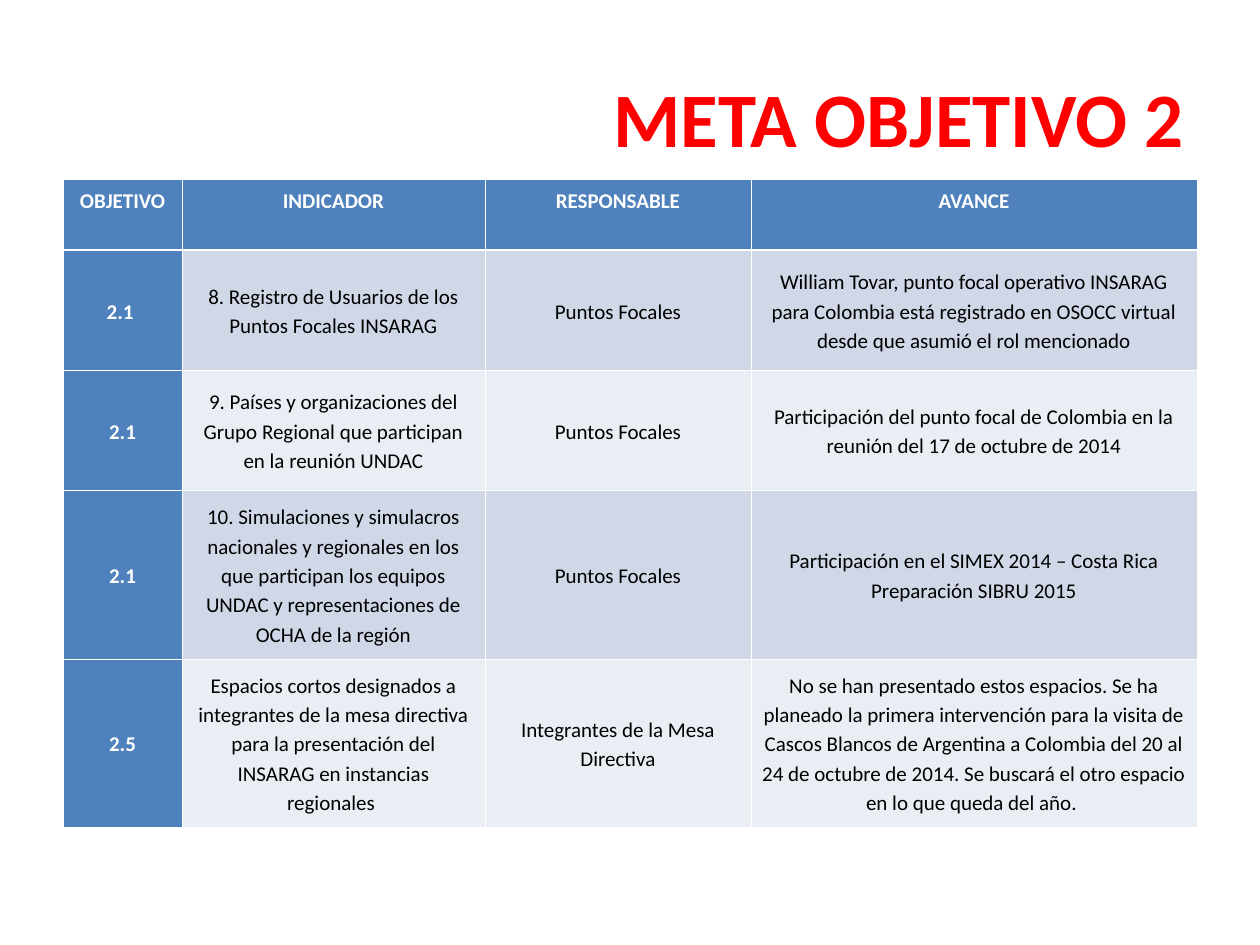
from typing import NamedTuple

from lxml import etree
from pptx import Presentation
from pptx import util as u
from pptx.dml.color import RGBColor
from pptx.enum import text as t
from pptx.oxml.ns import qn

FONT = "Calibri"
WHITE = RGBColor(0xFF, 0xFF, 0xFF)
BLACK = RGBColor(0, 0, 0)
RED = RGBColor(0xFF, 0, 0)
BLUE = RGBColor(0x4F, 0x81, 0xBD)
BANDS = (RGBColor(0xD0, 0xD8, 0xE8), RGBColor(0xE9, 0xED, 0xF4))
THIN, THICK = 0.45, 1.47


class Goal(NamedTuple):
    code: str
    metric: str
    owner: str
    status: str
    high: int


HEAD = Goal("OBJETIVO", "INDICADOR", "RESPONSABLE", "AVANCE", 71)
GOALS = [
    Goal("2.1 ", "8. Registro de Usuarios de los Puntos Focales INSARAG", "Puntos Focales",
         "William Tovar, punto focal operativo INSARAG para Colombia está registrado "
         "en OSOCC virtual desde que asumió el rol mencionado", 120),
    Goal("2.1", "9. Países y organizaciones del Grupo Regional que participan en la reunión UNDAC",
         "Puntos Focales",
         "Participación del punto focal de Colombia en la reunión del 17 de octubre de 2014", 120),
    Goal("2.1", "10. Simulaciones y simulacros nacionales y regionales en los que participan "
         "los equipos UNDAC y representaciones de OCHA de la región", "Puntos Focales",
         "Participación en el SIMEX 2014 – Costa Rica\nPreparación SIBRU 2015", 169),
    Goal("2.5", "Espacios cortos designados a integrantes de la mesa directiva para la "
         "presentación del INSARAG en instancias regionales ", "Integrantes de la Mesa Directiva",
         "No se han presentado estos espacios. Se ha planeado la primera intervención para "
         "la visita de Cascos Blancos de Argentina a Colombia del 20 al 24 de octubre de 2014. "
         "Se buscará el otro espacio en lo que queda del año. ", 168),
]
WIDTHS = (119, 303, 266, 446)


def px(n: int) -> u.Emu:
    return u.Emu(round(n * 914400 / 126))


def write(frame, words: str, *, size: int = 12, color: RGBColor = BLACK, bold: bool = False,
          align=t.PP_ALIGN.CENTER, space: float = 1.15) -> None:
    frame.word_wrap = True
    frame.text = words
    for para in frame.paragraphs:
        para.alignment = align
        para.line_spacing = space
        for run in para.runs:
            font = run.font
            font.name, font.size, font.bold = FONT, u.Pt(size), bold
            font.color.rgb = color


def edge(cell, top: float, base: float) -> None:
    props = cell._tc.get_or_add_tcPr()
    sides = (("L", THIN), ("R", THIN), ("T", top), ("B", base))
    for i, (side, width) in enumerate(sides):
        line = etree.Element(qn(f"a:ln{side}"), w=str(u.Pt(width)))
        fill = etree.SubElement(line, qn("a:solidFill"))
        etree.SubElement(fill, qn("a:srgbClr"), val=str(WHITE))
        props.insert(i, line)


def fill_row(table, r: int, goal: Goal) -> None:
    table.rows[r].height = px(goal.high)
    for c, words in enumerate(goal[:4]):
        cell = table.cell(r, c)
        key = r == 0 or c == 0
        cell.margin_left = cell.margin_right = px(10)
        cell.margin_top = cell.margin_bottom = px(6)
        cell.vertical_anchor = t.MSO_ANCHOR.MIDDLE if r else t.MSO_ANCHOR.TOP
        cell.fill.solid()
        cell.fill.fore_color.rgb = BLUE if key else BANDS[(r - 1) % 2]
        edge(cell, THICK if r == 1 else THIN, THICK if r == 0 else THIN)
        write(cell.text_frame, words, color=WHITE if key else BLACK, bold=key)


def main() -> None:
    deck = Presentation()
    deck.slide_width, deck.slide_height = px(1260), px(945)
    slide = deck.slides.add_slide(deck.slide_layouts[6])

    rows = [HEAD, *GOALS]
    high = sum(goal.high for goal in rows)
    table = slide.shapes.add_table(len(rows), len(WIDTHS), px(63), px(179),
                                   px(sum(WIDTHS)), px(high)).table
    table.first_row = table.horz_banding = False
    for col, width in zip(table.columns, WIDTHS):
        col.width = px(width)
    for r, goal in enumerate(rows):
        fill_row(table, r, goal)

    title = slide.shapes.add_textbox(px(63), px(38), px(1134), px(157)).text_frame
    title.vertical_anchor = t.MSO_ANCHOR.MIDDLE
    write(title, "META OBJETIVO 2", size=44, color=RED, bold=True,
          align=t.PP_ALIGN.RIGHT, space=1.0)
    deck.save("out.pptx")


if __name__ == "__main__":
    main()
